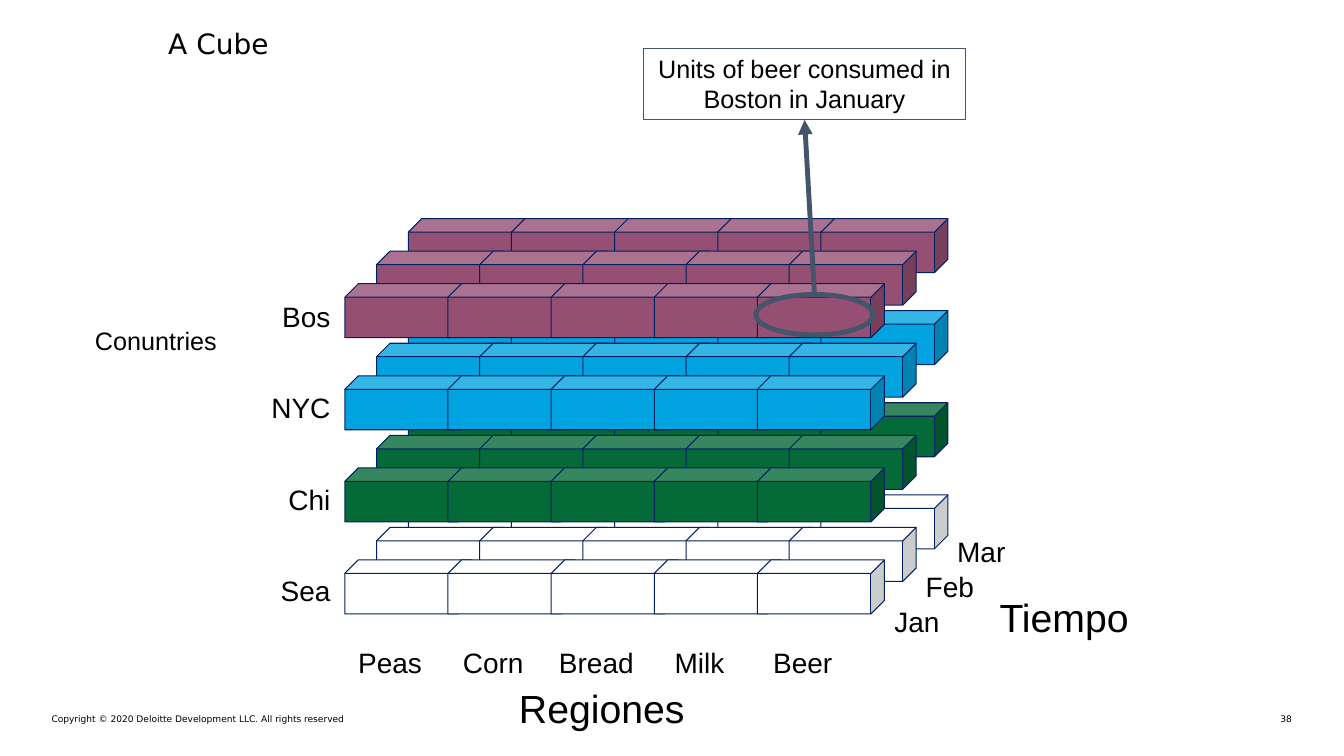
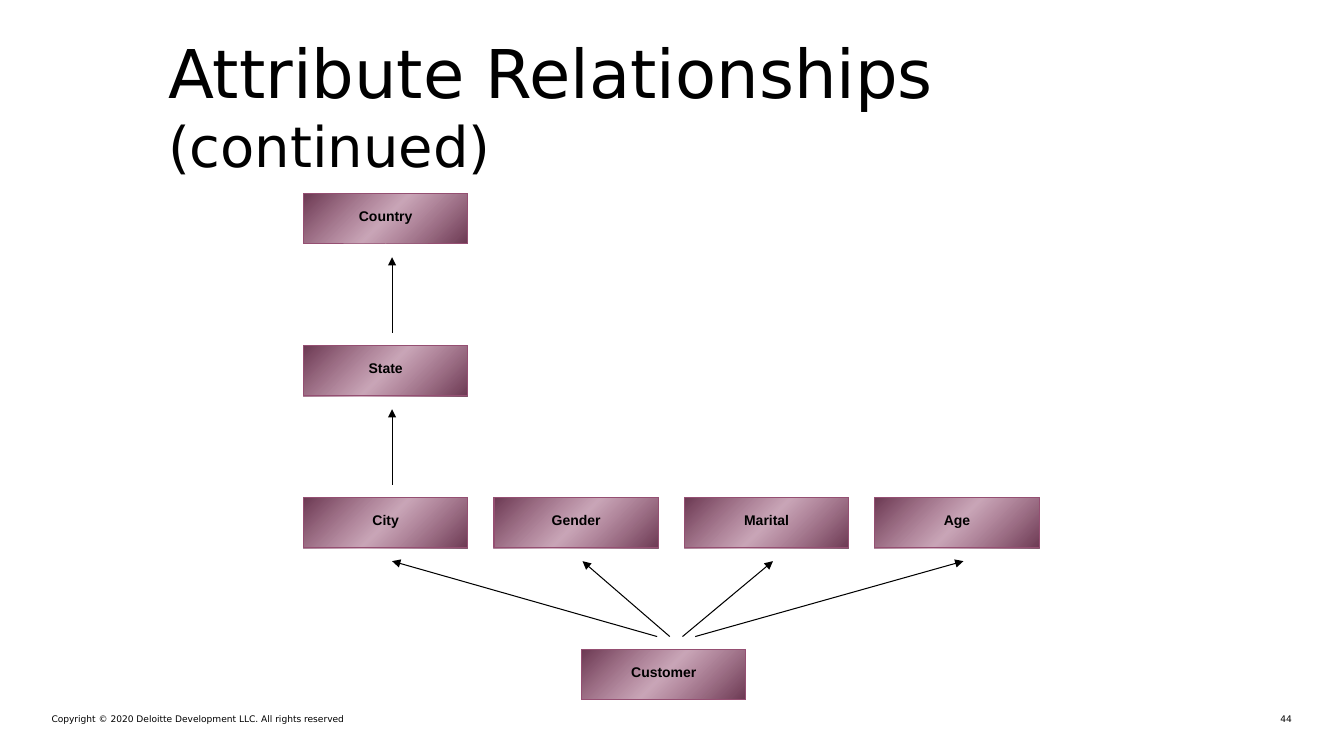
from pptx import Presentation
from pptx.dml.color import RGBColor
from pptx.enum.shapes import MSO_CONNECTOR, MSO_SHAPE
from pptx.enum.text import MSO_ANCHOR, PP_ALIGN
from pptx.oxml import parse_xml
from pptx.oxml.ns import nsdecls, qn
from pptx.util import Cm, Pt

SANS, HEAD = "Arial", "DejaVu Sans"
BLACK, NAVY, SLATE = "000000", "002060", "44546A"
PLUM, DARK = "954F72", "6B3952"
LEFT, MID, RIGHT = PP_ALIGN.LEFT, PP_ALIGN.CENTER, PP_ALIGN.RIGHT
PAD = (0.25, 0.13, 0.25, 0.13)
FLUSH = (0, 0, 0, 0)
RULE = "Copyright © 2020 Deloitte Development LLC. All rights reserved"

CITIES = [("Bos", PLUM), ("NYC", "00A3E0"), ("Chi", "046A38"), ("Sea", "FFFFFF")]
FOODS = ["Peas", "Corn", "Bread", "Milk", "Beer"]
MONTHS = ["Jan", "Feb", "Mar"]


def hue(code):
    """Turn a hex string into a colour."""
    return RGBColor.from_string(code)


def write(shape, *lines, size=20, font=SANS, color=BLACK, bold=False,
          align=LEFT, anchor=MSO_ANCHOR.TOP, pad=PAD):
    """Fill a shape with lines; a line is a string or a list of (words, size)."""
    frame = shape.text_frame
    frame.word_wrap = True
    frame.vertical_anchor = anchor
    (frame.margin_left, frame.margin_top,
     frame.margin_right, frame.margin_bottom) = map(Cm, pad)
    for i, line in enumerate(lines):
        para = frame.add_paragraph() if i else frame.paragraphs[0]
        para.alignment = align
        for words, points in [(line, size)] if isinstance(line, str) else line:
            run = para.add_run()
            run.text = words
            run.font.name, run.font.size, run.font.bold = font, Pt(points), bold
            run.font.color.rgb = hue(color)


def label(slide, box, *lines, **style):
    """Add a text box."""
    write(slide.shapes.add_textbox(*map(Cm, box)), *lines, **style)


def block(slide, kind, box, line, fill=None, width=0.75):
    """Add a preset shape with an outline and, if given, a flat fill."""
    shape = slide.shapes.add_shape(kind, *map(Cm, box))
    shape.shadow.inherit = False
    shape.line.color.rgb = hue(line)
    shape.line.width = Pt(width)
    if fill:
        shape.fill.solid()
        shape.fill.fore_color.rgb = hue(fill)
    else:
        shape.fill.background()
    return shape


def shade(shape):
    """Give a shape the slanted plum gradient with a clear middle."""
    stops = "".join(
        f'<a:gs pos="{pos}"><a:srgbClr val="{code}"><a:alpha val="{alpha}"/></a:srgbClr></a:gs>'
        for pos, code, alpha in [(0, DARK, 100000), (50000, PLUM, 50000), (100000, DARK, 100000)])
    props = shape.element.spPr
    props.replace(props.find(qn("a:noFill")), parse_xml(
        f'<a:gradFill {nsdecls("a")} rotWithShape="1"><a:gsLst>{stops}</a:gsLst>'
        '<a:lin ang="2700000" scaled="1"/></a:gradFill>'))


def arrow(slide, start, end, color=BLACK, width=0.75):
    """Add a straight arrow that points at its end."""
    link = slide.shapes.add_connector(MSO_CONNECTOR.STRAIGHT, *map(Cm, start + end))
    link.line.color.rgb = hue(color)
    link.line.width = Pt(width)
    link.line._get_or_add_ln().append(parse_xml(f'<a:tailEnd {nsdecls("a")} type="triangle"/>'))
    link.element.spPr.append(parse_xml(f'<a:effectLst {nsdecls("a")}/>'))
    return link


def start(deck, page, top, title):
    """Add a slide with its title and footer."""
    slide = deck.slides.add_slide(deck.slide_layouts[6])
    label(slide, (1.3, 17.98, 14.88, 0.28), RULE, size=6.5, font=HEAD, pad=FLUSH)
    label(slide, (31.7, 17.98, 0.86, 0.28), page, size=6.5, font=HEAD, align=RIGHT, pad=FLUSH)
    label(slide, (4.24, top, 23.29, 2), title, font=HEAD, pad=FLUSH)
    return slide


def cube(slide, box):
    """Stack the bars from back to front and name the three sides."""
    x, y, w, h = box
    across, down, back, rise = 2.6, 2.32, 0.8, 0.82
    wide = w - across * (len(FOODS) - 1) - back * (len(MONTHS) - 1)
    tall = h - down * (len(CITIES) - 1) - rise * (len(MONTHS) - 1)
    front = y + rise * (len(MONTHS) - 1)
    for depth in reversed(range(len(MONTHS))):
        for row, (_, fill) in reversed(list(enumerate(CITIES))):
            for col in range(len(FOODS)):
                spot = (x + col * across + depth * back, front + row * down - depth * rise)
                block(slide, MSO_SHAPE.CUBE, spot + (wide, tall), NAVY, fill)
    for col, food in enumerate(FOODS):
        label(slide, (x - 0.16 + col * across, y + h + 0.66, across, 1.12), food, align=MID)
    for row, (city, _) in enumerate(CITIES):
        label(slide, (x - 2.61, front + 0.27 + row * 2.3, 2.5, 1.12), city, align=RIGHT)
    for depth, month in enumerate(MONTHS):
        label(slide, (x + w - 1.6 + depth * 0.79, y + h - 0.36 - depth * 0.88, 2.2, 1.12), month)
    label(slide, (x - 6.86, y + 2.57, 4.2, 1.02), "Conuntries", size=18, align=MID)
    label(slide, (x + 4.14, y + h + 1.65, 5.2, 1.45), "Regiones", size=28)
    label(slide, (x + w + 1.05, y + h - 0.66, 4.2, 1.45), "Tiempo", size=28)


def callout(slide, box):
    """Ring one cell and point from it to a note."""
    x, y, w, h = box
    ring = block(slide, MSO_SHAPE.OVAL, (x + 2.84, y + 6.2, 2.95, 1.02), SLATE, width=3.5)
    note = block(slide, MSO_SHAPE.RECTANGLE, box, SLATE)
    write(note, "Units of beer consumed in", "Boston in January", size=18, align=MID)
    link = arrow(slide, (x + 4.31, y + 6.2), (x + w / 2, y + h), SLATE, 3.5)
    link.begin_connect(ring, 0)
    link.end_connect(note, 2)


def tree(slide, box):
    """Draw the levels and traits that rise from the customer."""
    x, y, w, h = box
    wide, tall, gap = 4.14, 1.27, 0.33
    across, down = (w - wide) / 3, (h - tall) / 3
    spots = [("Country", 0, 0), ("State", 0, 1), ("City", 0, 2), ("Gender", 1, 2),
             ("Marital", 2, 2), ("Age", 3, 2), ("Customer", 1.46, 3)]
    for name, col, row in spots:
        node = block(slide, MSO_SHAPE.RECTANGLE,
                     (x + col * across, y + row * down, wide, tall), PLUM)
        shade(node)
        write(node, name, size=10, bold=True, align=MID, anchor=MSO_ANCHOR.MIDDLE,
              pad=(0.25, 0.13, 0.25, 0.28))
    tip = x + 2.23
    for row in (1, 2):
        arrow(slide, (tip, y + row * down - gap), (tip, y + (row - 1) * down + tall + gap))
    for col in range(4):
        arrow(slide, (x + 8.91 + col * 0.32, y + 3 * down - gap),
              (tip + col * across, y + 2 * down + tall + gap))


def main():
    """Build and save the deck."""
    deck = Presentation()
    deck.slide_width, deck.slide_height = Cm(33.87), Cm(19.05)
    slide = start(deck, "38", 0.66, "A Cube")
    cube(slide, (8.69, 5.51, 15.2, 9.96))
    callout(slide, (16.21, 1.22, 8.13, 1.8))
    slide = start(deck, "44", 0.78, [("Attribute Relationships ", 48), ("(continued)", 40)])
    tree(slide, (7.65, 4.88, 18.54, 12.76))
    deck.save("out.pptx")


if __name__ == "__main__":
    main()
